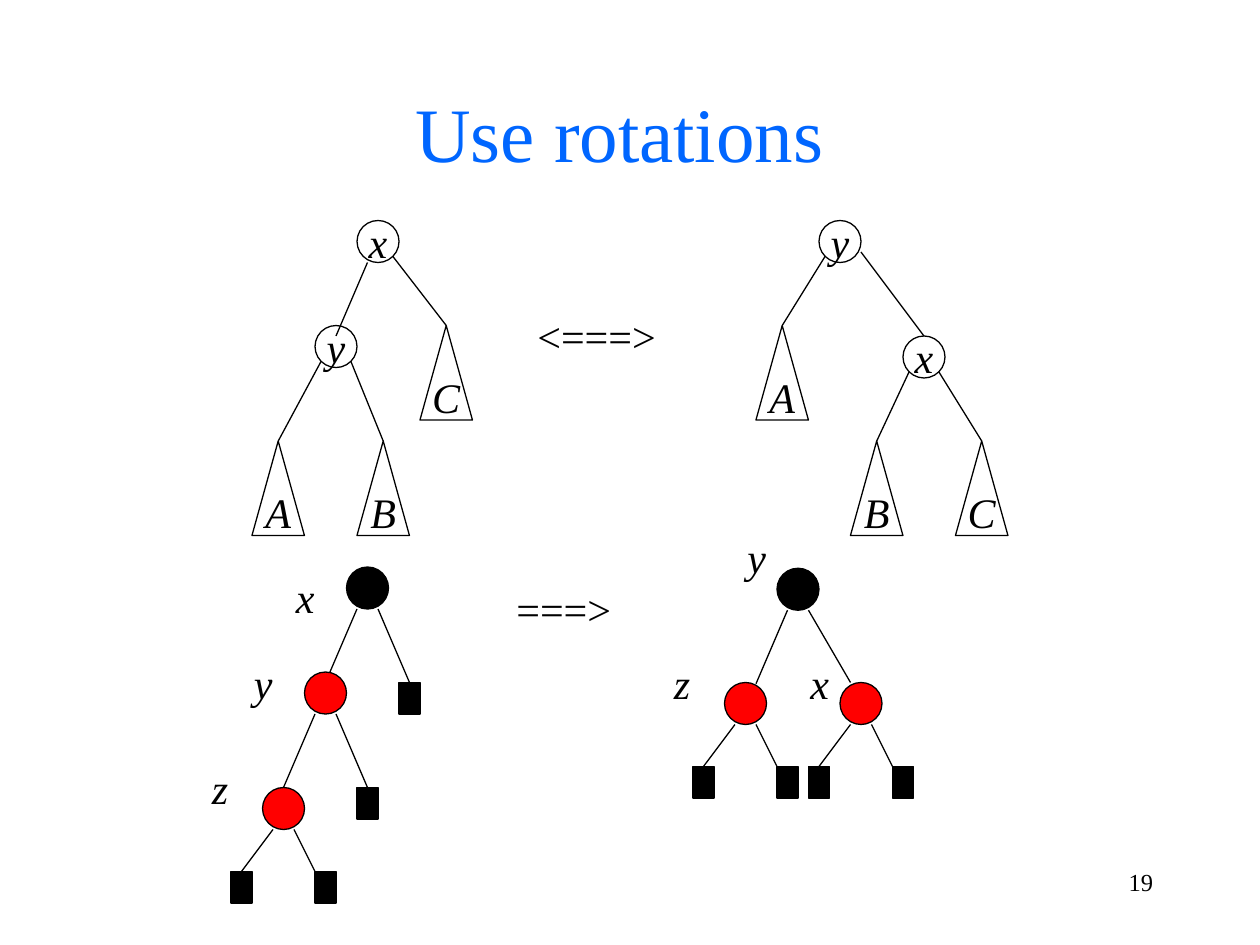
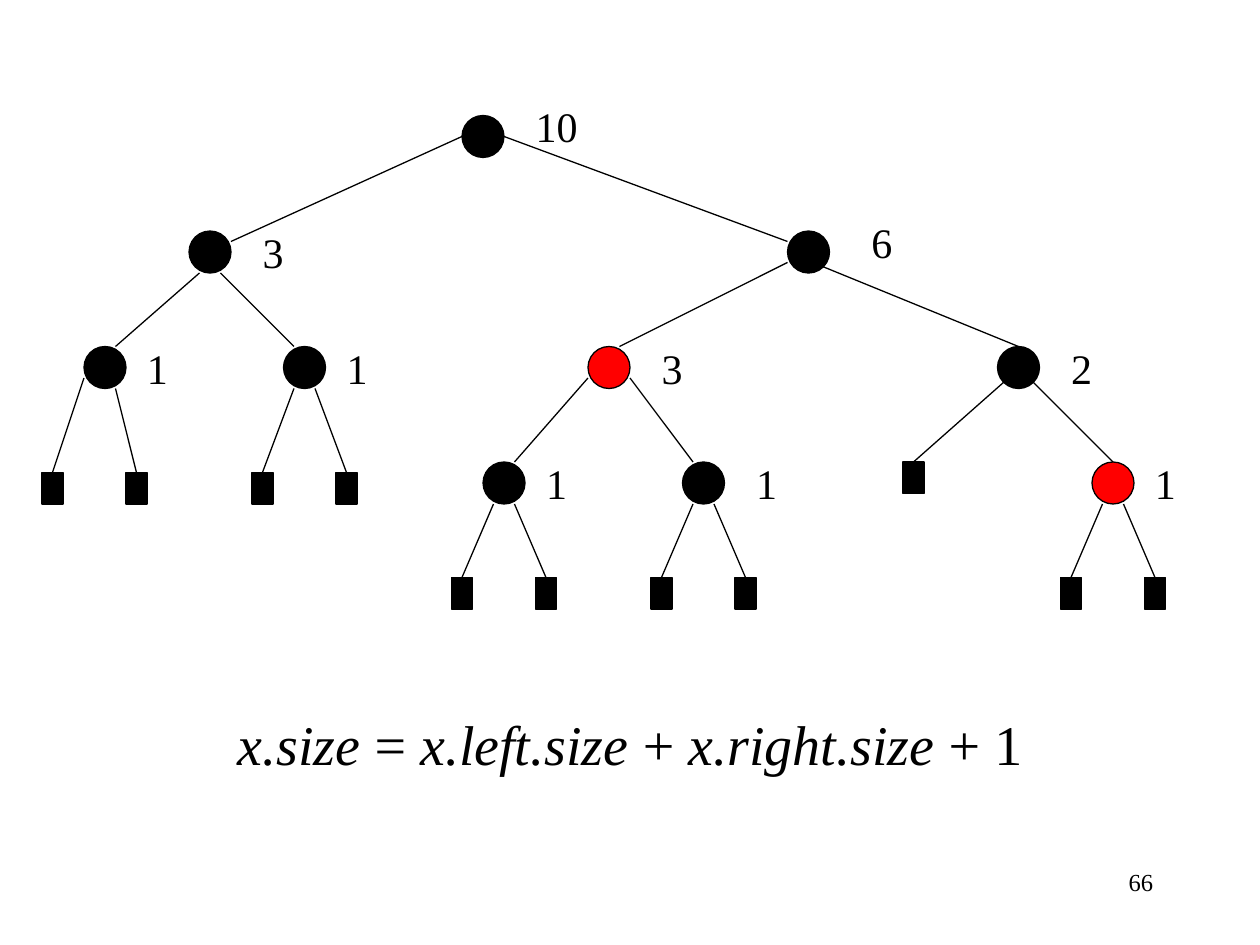
from collections import namedtuple
from lxml.etree import SubElement
from pptx import Presentation
from pptx.dml.color import RGBColor
from pptx.enum.shapes import MSO_CONNECTOR as Wire, MSO_SHAPE as Form
from pptx.enum.text import MSO_ANCHOR as Anchor, PP_ALIGN as Align
from pptx.oxml.ns import qn
from pptx.util import Pt

FACE = "Times New Roman"
BLACK, RED, BLUE = "000000", "FF0000", "0066FF"
THIN = 0.75

Kind = namedtuple("Kind", "form wide high fill")
RING = Kind(Form.OVAL, 24, 24, None)
DARK = Kind(Form.OVAL, 24, 24, BLACK)
HOT = Kind(Form.OVAL, 24, 24, RED)
LEAF = Kind(Form.RECTANGLE, 12, 18, BLACK)
WEDGE = Kind(Form.ISOSCELES_TRIANGLE, 30, 54, None)

LOW_L, LOW_R = (6, 24), (18, 24)
RIM_L, RIM_R = (3.5, 20.5), (20.5, 20.5)
MID_L, MID_R = (0, 12), (24, 12)
SIDE_L, SIDE_R = (0, 18), (24, 18)


def tint(code):
    return RGBColor.from_string(code)


def style(para, size, align=Align.LEFT, slant=False, color=BLACK):
    para.alignment = align
    font = para.font
    font.name, font.size, font.italic = FACE, Pt(size), slant
    font.color.rgb = tint(color)


def write(slide, text, x, y, wide, high=36, size=24, **look):
    box = slide.shapes.add_textbox(Pt(x), Pt(y), Pt(wide), Pt(high))
    frame = box.text_frame
    frame.word_wrap = True
    para = frame.paragraphs[0]
    para.text = text
    style(para, size, **look)
    return para


def page(slide, number):
    write(slide, number, 516, 492, 150, size=14, align=Align.RIGHT)


def head(slide, text):
    title = slide.shapes.title
    title.left, title.top = Pt(48), Pt(30)
    title.width, title.height = Pt(612), Pt(90)
    frame = title.text_frame
    frame.vertical_anchor = Anchor.MIDDLE
    frame.text = text
    style(frame.paragraphs[0], 44, Align.CENTER, color=BLUE)


def link(slide, host, port, x, y):
    start = host.left + Pt(port[0]), host.top + Pt(port[1])
    line = slide.shapes.add_connector(Wire.STRAIGHT, *start, Pt(x), Pt(y))
    line.line.color.rgb = tint(BLACK)
    line.line.width = Pt(THIN)
    SubElement(line._element.spPr, qn("a:effectLst"))
    return line


def put(slide, kind, x, y, text=""):
    shape = slide.shapes.add_shape(
        kind.form, Pt(x), Pt(y), Pt(kind.wide), Pt(kind.high))
    shape.shadow.inherit = False
    if kind.fill:
        shape.fill.solid()
        shape.fill.fore_color.rgb = tint(kind.fill)
    else:
        shape.fill.background()
    shape.line.color.rgb = tint(BLACK)
    shape.line.width = Pt(THIN)
    if text:
        frame = shape.text_frame
        frame.word_wrap = False
        frame.vertical_anchor = Anchor.MIDDLE
        frame.text = text
        style(frame.paragraphs[0], 24, Align.CENTER, slant=True)
    return shape


def grow(slide, host, port, kind, x, y, text="", hit=None):
    dx, dy = hit or (0, 0)
    line = link(slide, host, port, x + dx, y + dy)
    shape = put(slide, kind, x, y, text)
    if hit is None:
        line.end_connect(shape, 0)
    return shape


def twigs(slide, host, drop, hit=None):
    x, y = host.left.pt, host.top.pt + drop
    grow(slide, host, LOW_L, LEAF, x - 18, y)
    grow(slide, host, LOW_R, LEAF, x + 30, y, hit=hit)


def name(slide, text, x, y):
    write(slide, text, x, y, 30, slant=True)


def count(slide, host, text, dx=18, dy=-6):
    x, y = host.left.pt + dx, host.top.pt + dy
    write(slide, text, x, y, 48, align=Align.CENTER)


def turns(slide):
    x = put(slide, RING, 204, 126, "x")
    y = grow(slide, x, LOW_L, RING, 180, 186, "y", hit=(12, 6))
    grow(slide, x, RIM_R, WEDGE, 240, 186, "C")
    grow(slide, y, RIM_L, WEDGE, 144, 252, "A")
    grow(slide, y, RIM_R, WEDGE, 204, 252, "B")

    write(slide, "<===>", 300, 174, 84)

    y = put(slide, RING, 468, 126, "y")
    grow(slide, y, RIM_L, WEDGE, 432, 186, "A")
    x = grow(slide, y, SIDE_R, RING, 516, 192, "x")
    grow(slide, x, RIM_L, WEDGE, 486, 252, "B")
    grow(slide, x, RIM_R, WEDGE, 546, 252, "C")


def repair(slide):
    x = put(slide, DARK, 198, 324)
    y = grow(slide, x, LOW_L, HOT, 174, 384, hit=(12, 6))
    grow(slide, x, LOW_R, LEAF, 228, 390)
    z = grow(slide, y, LOW_L, HOT, 150, 450)
    grow(slide, y, LOW_R, LEAF, 204, 450)
    twigs(slide, z, 48, hit=(0, 0))

    write(slide, "===>", 288, 330, 84)

    y = put(slide, DARK, 444, 324.7)
    z = grow(slide, y, LOW_L, HOT, 414, 390, hit=(18, 0.7))
    x = grow(slide, y, LOW_R, HOT, 480, 390, hit=(6, 0))
    for node in (z, x):
        twigs(slide, node, 48, hit=(0, 0))

    for text, left, top in (
            ("x", 162, 323.3), ("y", 138, 372), ("z", 114, 432),
            ("y", 420, 300), ("z", 378, 372), ("x", 456, 372)):
        name(slide, text, left, top)


def sizes(slide):
    root = put(slide, DARK, 264, 66)
    west = grow(slide, root, MID_L, DARK, 108, 132, hit=(24, 6))
    east = grow(slide, root, MID_R, DARK, 450, 132, hit=(0, 6))
    count(slide, root, "10", 30, -12)
    count(slide, west, "3", 24)
    count(slide, east, "6", 30, -12)

    edge = grow(slide, west, LOW_L, DARK, 48, 198, hit=(18, 0))
    grow(slide, edge, SIDE_L, LEAF, 24, 270)
    grow(slide, edge, LOW_R, LEAF, 72, 270)
    count(slide, edge, "1")
    inner = grow(slide, west, LOW_R, DARK, 162, 198, hit=(6, 0))
    twigs(slide, inner, 72)
    count(slide, inner, "1")

    hot = grow(slide, east, SIDE_L, HOT, 336, 198, hit=(18, 0))
    far = grow(slide, east, RIM_R, DARK, 570, 198)
    count(slide, hot, "3", 24)
    count(slide, far, "2", 24)
    grow(slide, far, RIM_L, LEAF, 516, 264)

    left = grow(slide, hot, SIDE_L, DARK, 276, 264, hit=(18, 0))
    right = grow(slide, hot, SIDE_R, DARK, 390, 264, hit=(6, 0))
    last = grow(slide, far, RIM_R, HOT, 624, 264)
    for node, dx in ((left, 18), (right, 24), (last, 18)):
        twigs(slide, node, 66)
        count(slide, node, "1", dx)


def rule(slide):
    para = write(slide, "", 0, 402, 720, 46, size=32, align=Align.CENTER)
    parts = ("x.size", " = ", "x.left.size", " + ", "x.right.size", " + 1")
    for spot, text in enumerate(parts):
        run = para.add_run()
        run.text = text
        run.font.italic = spot % 2 == 0


def main():
    deck = Presentation()
    deck.slide_width, deck.slide_height = Pt(720), Pt(540)

    slide = deck.slides.add_slide(deck.slide_layouts[5])
    head(slide, "Use rotations")
    turns(slide)
    repair(slide)
    page(slide, "19")

    slide = deck.slides.add_slide(deck.slide_layouts[6])
    sizes(slide)
    rule(slide)
    page(slide, "66")

    deck.save("out.pptx")


if __name__ == "__main__":
    main()
